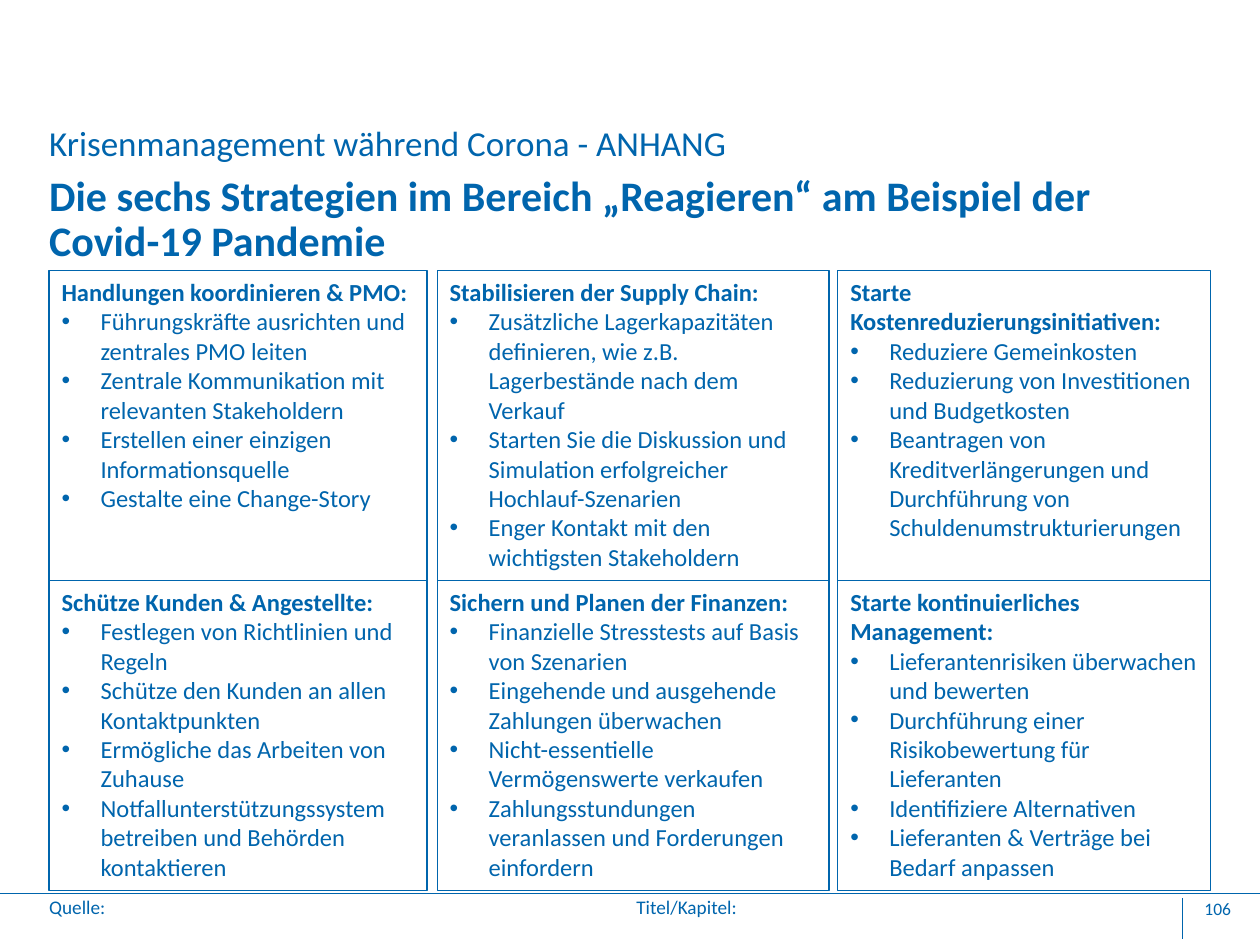
from dataclasses import dataclass

from lxml.etree import SubElement
from pptx import Presentation
from pptx.dml.color import RGBColor
from pptx.enum.shapes import MSO_CONNECTOR, MSO_SHAPE
from pptx.enum.text import MSO_ANCHOR, MSO_AUTO_SIZE, PP_ALIGN
from pptx.oxml.ns import qn
from pptx.util import Inches, Pt


@dataclass(frozen=True)
class Theme:
    font: str = "Calibri"
    blue: RGBColor = RGBColor(0x00, 0x65, 0xAD)
    title: int = 24
    subtitle: int = 20
    content: int = 14
    footer: int = 11
    number: int = 10


THEME = Theme()


def write(para, text, size, bold=False, bullet=False, spacing=1.0, align=PP_ALIGN.LEFT):
    """Format the paragraph and add one run of text to it."""
    properties = para._p.get_or_add_pPr()
    indent = Inches(0.31) if bullet else 0
    properties.set("marL", str(indent))
    properties.set("indent", str(-indent))
    if bullet:
        SubElement(properties, qn("a:buFont")).set("typeface", "Arial")
        SubElement(properties, qn("a:buChar")).set("char", "•")
    else:
        SubElement(properties, qn("a:buNone"))
    para.alignment = align
    para.line_spacing = spacing
    para.space_before = Pt(0)
    span = para.add_run()
    span.text = text
    span.font.name = THEME.font
    span.font.size = Pt(size)
    span.font.bold = bold
    span.font.color.rgb = THEME.blue


def place(box, left, top, width, height):
    """Position a text holder and remove its inner margins."""
    box.left, box.top = Inches(left), Inches(top)
    box.width, box.height = Inches(width), Inches(height)
    frame = box.text_frame
    frame.margin_left = frame.margin_right = frame.margin_top = frame.margin_bottom = 0
    frame.auto_size = MSO_AUTO_SIZE.NONE
    frame.vertical_anchor = MSO_ANCHOR.TOP
    frame.word_wrap = True
    return frame.paragraphs[0]


deck = Presentation()
deck.slide_width, deck.slide_height = Inches(10), Inches(7.5)
page = deck.slides.add_slide(deck.slide_layouts[1])

# Footer rules and labels
for x1, y1, x2, y2 in [(0, 7.09, 10, 7.09), (9.38, 7.13, 9.38, 7.45)]:
    rule = page.shapes.add_connector(
        MSO_CONNECTOR.STRAIGHT, Inches(x1), Inches(y1), Inches(x2), Inches(y2))
    rule.line.color.rgb = THEME.blue
    rule.line.width = Pt(0.25)
    SubElement(rule._element.spPr, qn("a:effectLst"))

FOOTER = [
    ("Quelle:", 0.39, 0.46, THEME.footer, 0.9, PP_ALIGN.LEFT),
    ("Titel/Kapitel:", 5.05, 0.84, THEME.footer, 0.9, PP_ALIGN.LEFT),
    ("106", 9.43, 0.34, THEME.number, 1.0, PP_ALIGN.RIGHT),
]
for text, left, width, size, spacing, align in FOOTER:
    label = page.shapes.add_textbox(0, 0, 0, 0)
    write(place(label, left, 7.13, width, 0.2), text, size, spacing=spacing, align=align)

# Headings
write(place(page.shapes.title, 0.39, 1.39, 9.37, 0.71),
      "Die sechs Strategien im Bereich „Reagieren“ am Beispiel der Covid-19 Pandemie",
      THEME.title, bold=True, spacing=0.9)
write(place(page.placeholders[1], 0.39, 1, 9.37, 0.31),
      "Krisenmanagement während Corona - ANHANG", THEME.subtitle, spacing=0.9)

# Six strategies, row by row
COLUMNS = [(0.39, 3), (3.47, 3.11), (6.65, 2.96)]
TOP, HEIGHT = 2.15, 2.46
STRATEGIES = [
    ("Handlungen koordinieren & PMO:", [
        "Führungskräfte ausrichten und zentrales PMO leiten",
        "Zentrale Kommunikation mit relevanten Stakeholdern",
        "Erstellen einer einzigen Informationsquelle",
        "Gestalte eine Change-Story"]),
    ("Stabilisieren der Supply Chain:", [
        "Zusätzliche Lagerkapazitäten definieren, wie z.B. Lagerbestände nach dem Verkauf",
        "Starten Sie die Diskussion und Simulation erfolgreicher Hochlauf-Szenarien",
        "Enger Kontakt mit den wichtigsten Stakeholdern"]),
    ("Starte Kostenreduzierungsinitiativen:", [
        "Reduziere Gemeinkosten",
        "Reduzierung von Investitionen und Budgetkosten",
        "Beantragen von Kreditverlängerungen und Durchführung von "
        "Schuldenumstrukturierungen"]),
    ("Schütze Kunden & Angestellte:", [
        "Festlegen von Richtlinien und Regeln",
        "Schütze den Kunden an allen Kontaktpunkten",
        "Ermögliche das Arbeiten von Zuhause",
        "Notfallunterstützungssystem betreiben und Behörden kontaktieren"]),
    ("Sichern und Planen der Finanzen:", [
        "Finanzielle Stresstests auf Basis von Szenarien",
        "Eingehende und ausgehende Zahlungen überwachen",
        "Nicht-essentielle Vermögenswerte verkaufen",
        "Zahlungsstundungen veranlassen und Forderungen einfordern"]),
    ("Starte kontinuierliches Management:", [
        "Lieferantenrisiken überwachen und bewerten",
        "Durchführung einer Risikobewertung für Lieferanten",
        "Identifiziere Alternativen",
        "Lieferanten & Verträge bei Bedarf anpassen"]),
]
for index, (heading, measures) in enumerate(STRATEGIES):
    row, column = divmod(index, len(COLUMNS))
    left, width = COLUMNS[column]
    box = page.shapes.add_shape(
        MSO_SHAPE.RECTANGLE, Inches(left), Inches(TOP + row * HEIGHT),
        Inches(width), Inches(HEIGHT))
    box.shadow.inherit = False
    box.fill.background()
    box.line.color.rgb = THEME.blue
    box.line.width = Pt(0.75)
    frame = box.text_frame
    frame.word_wrap = True
    frame.vertical_anchor = MSO_ANCHOR.TOP
    write(frame.paragraphs[0], heading, THEME.content, bold=True)
    for measure in measures:
        write(frame.add_paragraph(), measure, THEME.content, bullet=True)

deck.save("out.pptx")
